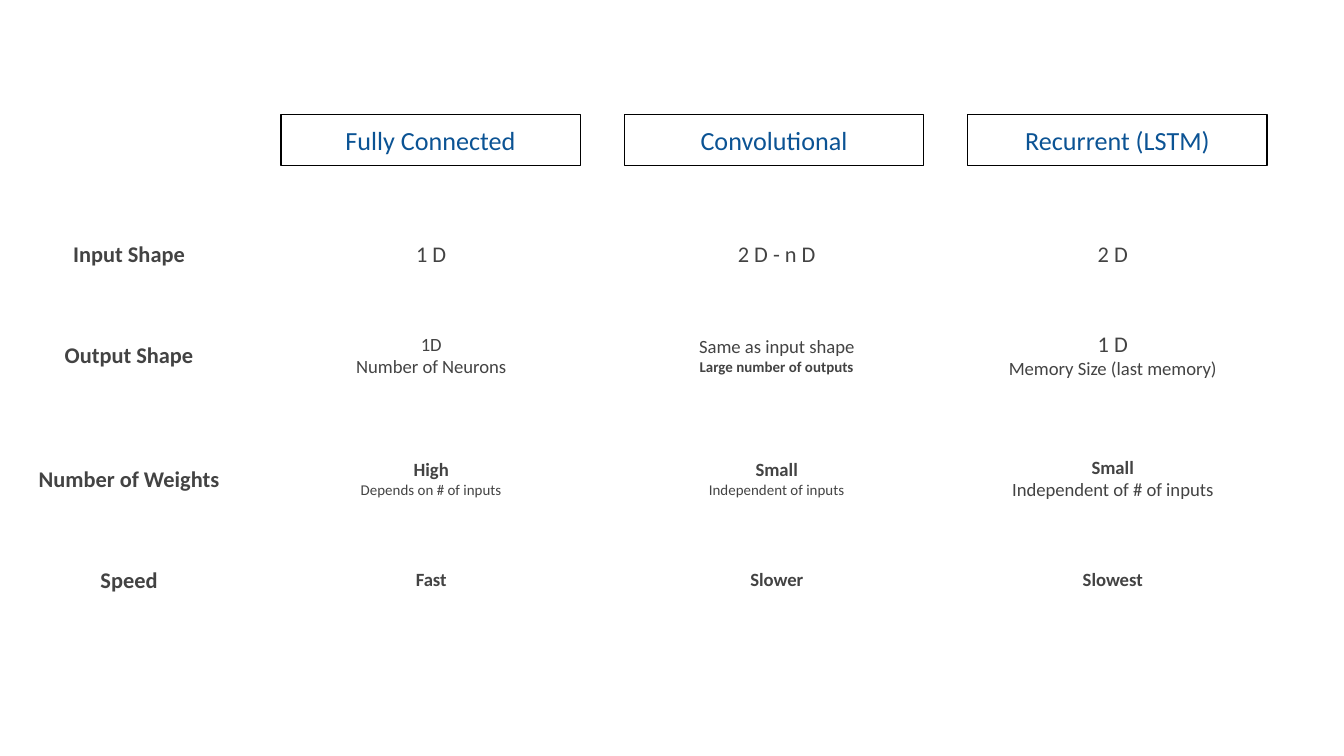
"""Build a slide comparing fully connected, convolutional and recurrent layers."""
from pptx import Presentation
from pptx.dml.color import RGBColor
from pptx.enum.shapes import MSO_SHAPE
from pptx.enum.text import MSO_ANCHOR, PP_ALIGN
from pptx.util import Cm, Pt

COLORS = {"heading": "0B5394", "body": "434343", "outline": "000000"}
HEADING = {"size": Pt(14), "bold": False}
LABEL = {"size": Pt(12), "bold": True}
LARGE = {"size": Pt(12), "bold": False}
MEDIUM = {"size": Pt(10), "bold": False}
STRONG = {"size": Pt(10), "bold": True}
SMALL = {"size": Pt(8), "bold": False}
SMALL_STRONG = {"size": Pt(8), "bold": True}

HEADINGS = ["Fully Connected", "Convolutional", "Recurrent (LSTM)"]
COLUMNS = [(0.28, 4.32), (5.99, 4.32), (11.91, 5.54), (18.26, 5.54)]
ROWS = [
    (4.8, [
        [("Input Shape", LABEL)],
        [("1 D", LARGE)],
        [("2 D - n D", LARGE)],
        [("2 D", LARGE)],
    ]),
    (6.71, [
        [("Output Shape", LABEL)],
        [("1D", MEDIUM), ("Number of Neurons", MEDIUM)],
        [("Same as input shape", MEDIUM), ("Large number of outputs", SMALL_STRONG)],
        [("1 D", LARGE), ("Memory Size (last memory)", MEDIUM)],
    ]),
    (9.04, [
        [("Number of Weights", LABEL)],
        [("High", STRONG), ("Depends on # of inputs", SMALL)],
        [("Small", STRONG), ("Independent of inputs", SMALL)],
        [("Small", STRONG), ("Independent of # of inputs", MEDIUM)],
    ]),
    (10.95, [
        [("Speed", LABEL)],
        [("Fast", STRONG)],
        [("Slower", STRONG)],
        [("Slowest", STRONG)],
    ]),
]


def write_lines(box, lines, color):
    frame = box.text_frame
    frame.word_wrap = True
    frame.vertical_anchor = MSO_ANCHOR.MIDDLE
    for side in ("left", "top", "right", "bottom"):
        setattr(frame, f"margin_{side}", Cm(0.25))
    for index, (text, style) in enumerate(lines):
        para = frame.add_paragraph() if index else frame.paragraphs[0]
        para.alignment = PP_ALIGN.CENTER
        span = para.add_run()
        span.text = text
        span.font.color.rgb = RGBColor.from_string(COLORS[color])
        for name, value in {"name": "Calibri", **style}.items():
            setattr(span.font, name, value)


deck = Presentation()
deck.slide_width, deck.slide_height = Cm(25.4), Cm(14.29)
page = deck.slides.add_slide(deck.slide_layouts[6])

for column, heading in enumerate(HEADINGS):
    box = page.shapes.add_shape(
        MSO_SHAPE.RECTANGLE, Cm(5.31 + 6.49 * column), Cm(2.16), Cm(5.66), Cm(0.97))
    box.shadow.inherit = False
    box.fill.background()
    box.line.color.rgb = RGBColor.from_string(COLORS["outline"])
    box.line.width = Pt(0.75)
    write_lines(box, [(heading, HEADING)], "heading")

for row, (middle, cells) in enumerate(ROWS):
    for column, ((left, width), lines) in enumerate(zip(COLUMNS, cells)):
        height = 1.52 if row > 0 and column == 2 else 1.12
        box = page.shapes.add_textbox(
            Cm(left), Cm(middle - height / 2), Cm(width), Cm(height))
        write_lines(box, lines, "body")

deck.save("out.pptx")
